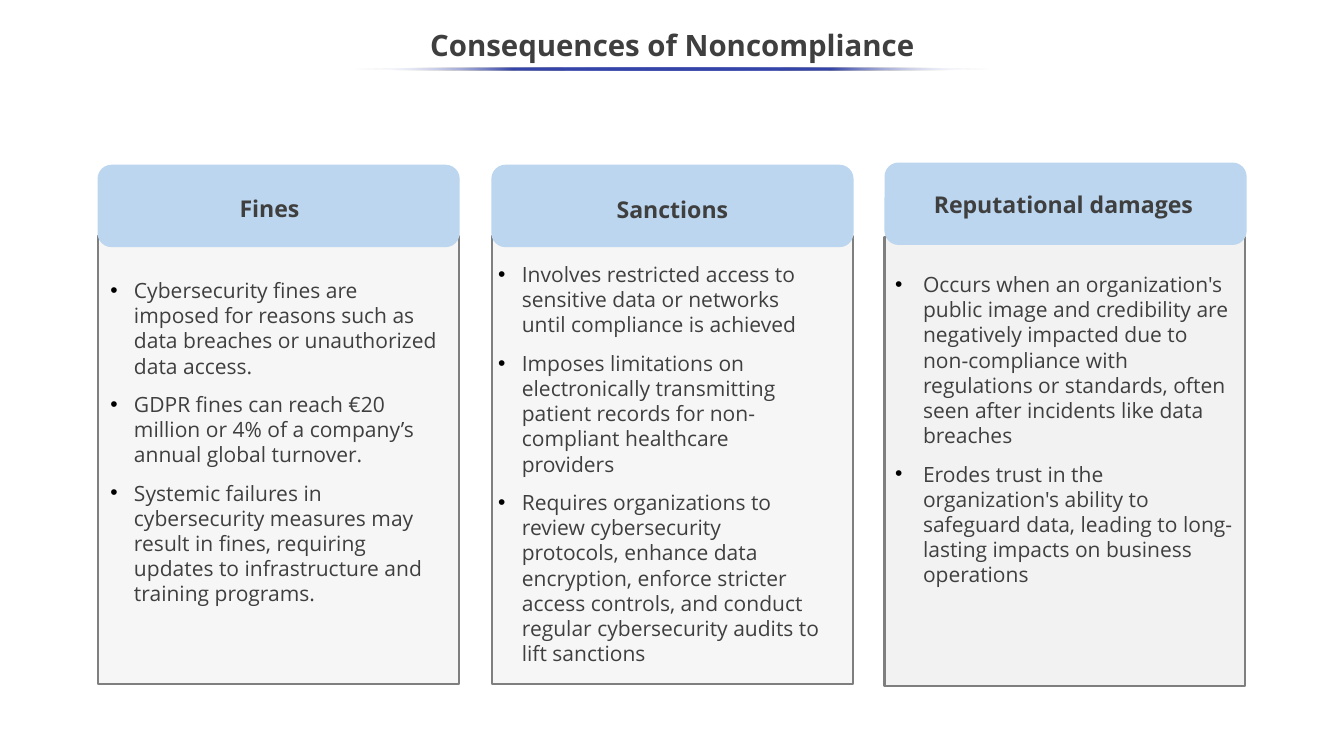
from dataclasses import dataclass

from lxml.etree import SubElement
from pptx import Presentation
from pptx.dml.color import RGBColor
from pptx.enum.shapes import MSO_SHAPE
from pptx.enum.text import MSO_ANCHOR, MSO_AUTO_SIZE, PP_ALIGN
from pptx.oxml import parse_xml
from pptx.oxml.ns import nsdecls, qn
from pptx.util import Pt

COLORS = {
    "text": "3F3F3F",
    "bullet": "000000",
    "header": "BBD6EE",
    "panel": "F6F6F6",
    "panel_dark": "F2F2F2",
    "border": "7F7F7F",
    "rule": "3645A9",
    "rule_end": "FFFFFF",
}
FONT = "Open Sans"
PANEL_WIDTH, PANEL_HEIGHT = 343.4, 427
HEADER_WIDTH, HEADER_HEIGHT = 344.9, 78.5
LABEL_HEIGHT = 33.8


@dataclass
class Card:
    title: str
    items: list
    panel_box: tuple
    header_offset: tuple
    label_offset: tuple
    label_width: float
    list_offset: tuple
    list_size: tuple
    indent: float = 22.5
    fill: str = "panel"


CARDS = [
    Card(
        "Fines",
        [
            "Cybersecurity fines are imposed for reasons such as data breaches or unauthorized data access.",
            "GDPR fines can reach €20 million or 4% of a company’s annual global turnover.",
            "Systemic failures in cybersecurity measures may result in fines, requiring updates to infrastructure and training programs.",
        ],
        (93.6, 224.6), (-0.7, -67.7), (126.7, -43.2), 72, (4.3, 36), (334.8, 324),
    ),
    Card(
        "Sanctions",
        [
            "Involves restricted access to sensitive data or networks until compliance is achieved",
            "Imposes limitations on electronically transmitting patient records for non-compliant healthcare providers",
            "Requires organizations to review cybersecurity protocols, enhance data encryption, enforce stricter access controls, and conduct regular cybersecurity audits to lift sanctions",
        ],
        (468.7, 224.6), (-0.7, -67.7), (110.2, -42.4), 121.7, (-1.4, 20.9), (323.3, 396.7),
    ),
    Card(
        "Reputational damages",
        [
            "Occurs when an organization's public image and credibility are negatively impacted due to non-compliance with regulations or standards, often seen after incidents like data breaches",
            "Erodes trust in the organization's ability to safeguard data, leading to long-lasting impacts on business operations",
        ],
        (842.4, 226.1), (0, -71.3), (36.7, -48.3), 264.2, (2.9, 28.8), (337.7, 310.3),
        indent=26.6, fill="panel_dark",
    ),
]


def color(name):
    return RGBColor.from_string(COLORS[name])


def place(shape, left, top, width, height):
    shape.left, shape.top = Pt(left), Pt(top)
    shape.width, shape.height = Pt(width), Pt(height)


def style_font(paragraph, size, bold=False):
    font = paragraph.font
    font.name, font.size, font.bold = FONT, Pt(size), bold
    font.color.rgb = color("text")


def add_block(slide, kind, left, top, width, height):
    shape = slide.shapes.add_shape(kind, Pt(left), Pt(top), Pt(width), Pt(height))
    shape.shadow.inherit = False
    shape.line.fill.background()
    return shape


def add_bullet(paragraph, indent):
    properties = paragraph._p.get_or_add_pPr()
    properties.set("marL", str(Pt(indent)))
    properties.set("indent", str(-Pt(indent)))
    bullet_color = SubElement(properties, qn("a:buClr"))
    SubElement(bullet_color, qn("a:srgbClr"), val=COLORS["bullet"])
    SubElement(properties, qn("a:buFont"), typeface="Arial")
    SubElement(properties, qn("a:buChar"), char="•")


def build_title(slide, left, top, width, height):
    title = slide.shapes.title
    place(title, left, top, width, height)
    title.text_frame.text = "Consequences of Noncompliance"
    title.text_frame.auto_size = MSO_AUTO_SIZE.NONE
    title.text_frame.vertical_anchor = MSO_ANCHOR.MIDDLE
    paragraph = title.text_frame.paragraphs[0]
    paragraph.alignment = PP_ALIGN.CENTER
    paragraph.line_spacing = 0.9
    style_font(paragraph, 28, bold=True)


def build_rule(slide, left, top, width, height):
    rule = add_block(slide, MSO_SHAPE.OVAL, left, top, width, height)
    solid = "".join(
        f'<a:gs pos="{position}"><a:srgbClr val="{COLORS["rule"]}"/></a:gs>'
        for position in (25000, 50000, 75000)
    )
    clear = f'<a:srgbClr val="{COLORS["rule_end"]}"><a:alpha val="0"/></a:srgbClr>'
    gradient = parse_xml(
        f'<a:gradFill {nsdecls("a")}><a:gsLst><a:gs pos="0">{clear}</a:gs>{solid}'
        f'<a:gs pos="100000">{clear}</a:gs></a:gsLst><a:lin ang="10800000"/></a:gradFill>'
    )
    rule.element.spPr.find(qn("a:prstGeom")).addnext(gradient)


def build_list(placeholder, card, left, top):
    place(placeholder, left, top, *card.list_size)
    frame = placeholder.text_frame
    frame.word_wrap = True
    frame.auto_size = MSO_AUTO_SIZE.NONE
    frame.vertical_anchor = MSO_ANCHOR.TOP
    for index, item in enumerate(card.items):
        paragraph = frame.paragraphs[0] if index == 0 else frame.add_paragraph()
        paragraph.text = item
        add_bullet(paragraph, card.indent)
        paragraph.space_before = Pt(12.5 if index else 0)
        style_font(paragraph, 20)
    placeholder.element.getparent().append(placeholder.element)


def build_card(slide, card, placeholder):
    left, top = card.panel_box

    def offset(shift):
        return left + shift[0], top + shift[1]

    panel = add_block(slide, MSO_SHAPE.RECTANGLE, left, top, PANEL_WIDTH, PANEL_HEIGHT)
    panel.fill.solid()
    panel.fill.fore_color.rgb = color(card.fill)
    panel.line.color.rgb = color("border")
    panel.line.width = Pt(2)

    header = add_block(slide, MSO_SHAPE.ROUNDED_RECTANGLE, *offset(card.header_offset),
                       HEADER_WIDTH, HEADER_HEIGHT)
    header.adjustments[0] = 0.17
    header.fill.solid()
    header.fill.fore_color.rgb = color("header")

    label = slide.shapes.add_textbox(0, 0, 0, 0)
    place(label, *offset(card.label_offset), card.label_width, LABEL_HEIGHT)
    label.text_frame.text = card.title
    label.text_frame.word_wrap = False
    paragraph = label.text_frame.paragraphs[0]
    paragraph.alignment = PP_ALIGN.RIGHT
    style_font(paragraph, 22, bold=True)

    build_list(placeholder, card, *offset(card.list_offset))


def main():
    presentation = Presentation()
    presentation.slide_width, presentation.slide_height = Pt(1280), Pt(720)
    slide = presentation.slides.add_slide(presentation.slide_layouts.get_by_name("Comparison"))
    bodies = [shape for shape in slide.placeholders if shape != slide.shapes.title]
    build_title(slide, -0.7, 18, 1281.6, 54)
    for card, body in zip(CARDS, bodies):
        build_card(slide, card, body)
    for unused in bodies[len(CARDS):]:
        unused.element.getparent().remove(unused.element)
    build_rule(slide, 337.7, 64.1, 604.8, 2.9)
    presentation.save("out.pptx")


if __name__ == "__main__":
    main()
